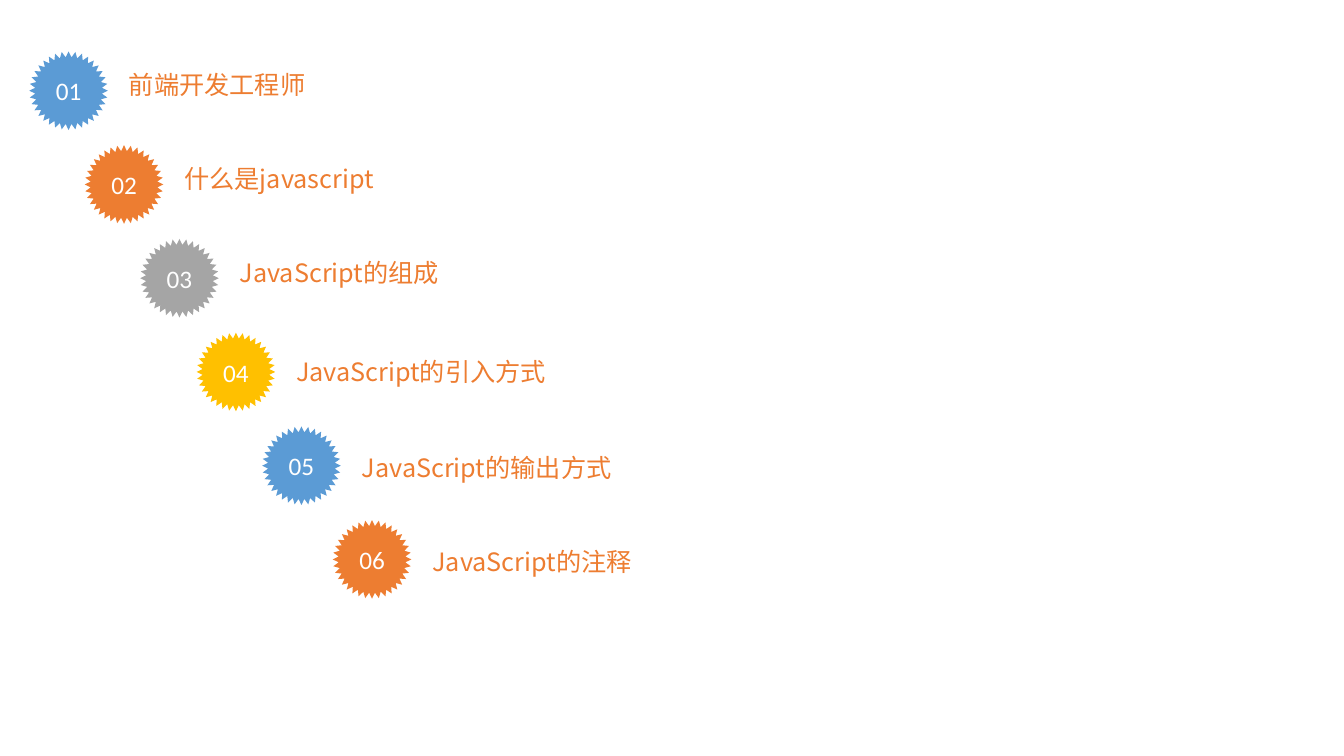
from math import cos, pi, sin

from lxml.etree import SubElement
from pptx import Presentation
from pptx.dml.color import RGBColor
from pptx.enum.text import MSO_ANCHOR, PP_ALIGN
from pptx.oxml.ns import qn
from pptx.util import Inches, Pt

COLORS = {"blue": "5B9BD5", "orange": "ED7D31", "gray": "A5A5A5",
          "gold": "FFC000", "white": "FFFFFF"}
TOPIC_FONT, NUMBER_FONT = "Noto Sans CJK SC", "Calibri"

# topic, badge colour, badge left, drop of the topic below the badge's top
TOPICS = [
    ("前端开发工程师", "blue", 0.29, 0.13),
    ("什么是javascript", "orange", 0.84, 0.13),
    ("JavaScript的组成", "gray", 1.39, 0.13),
    ("JavaScript的引入方式", "gold", 1.95, 0.19),
    ("JavaScript的输出方式", "blue", 2.6, 0.21),
    ("JavaScript的注释", "orange", 3.3, 0.21),
]
FIRST_TOP, ROW_STEP = 0.51, 0.93
BADGE, SPIKES, INNER_SHARE = 0.78, 36, 0.85
TOPIC_OFFSET, TOPIC_W, TOPIC_H = 0.89, 7.44, 0.52


def color(name):
    return RGBColor.from_string(COLORS[name])


def add_run(tf, text, font, color_name):
    r = tf.paragraphs[0].add_run()
    r.text = text
    r.font.size = Pt(18)
    r.font.name = font
    r.font.color.rgb = color(color_name)
    SubElement(r.font._element, qn("a:ea"), typeface=font)


def add_topic(shapes, text, left, top):
    sp = shapes.add_textbox(Inches(left), Inches(top), Inches(TOPIC_W), Inches(TOPIC_H))
    sp.text_frame.word_wrap = True
    add_run(sp.text_frame, text, TOPIC_FONT, "orange")


def add_badge(shapes, number, fill, left, top):
    """Draw a spiked round seal with a number in its middle."""
    radius = BADGE / 2
    points = []
    for i in range(2 * SPIKES):
        reach = radius * (INNER_SHARE if i % 2 else 1)
        angle = i * pi / SPIKES
        points.append((Inches(left + radius + reach * sin(angle)),
                       Inches(top + radius - reach * cos(angle))))
    builder = shapes.build_freeform(*points[0])
    builder.add_line_segments(points[1:], close=True)
    sp = builder.convert_to_shape()
    sp.shadow.inherit = False
    sp.fill.solid()
    sp.fill.fore_color.rgb = color(fill)
    sp.line.fill.background()
    tf = sp.text_frame
    tf.vertical_anchor = MSO_ANCHOR.MIDDLE
    tf.paragraphs[0].alignment = PP_ALIGN.CENTER
    add_run(tf, f"{number:02d}", NUMBER_FONT, "white")


def main():
    prs = Presentation()
    prs.slide_width, prs.slide_height = Inches(13.33), Inches(7.5)
    slide = prs.slides.add_slide(prs.slide_layouts[6])
    for row, (topic, fill, left, drop) in enumerate(TOPICS):
        top = FIRST_TOP + row * ROW_STEP
        group = slide.shapes.add_group_shape()
        add_topic(group.shapes, topic, left + TOPIC_OFFSET, top + drop)
        add_badge(group.shapes, row + 1, fill, left, top)
    prs.save("out.pptx")


if __name__ == "__main__":
    main()
